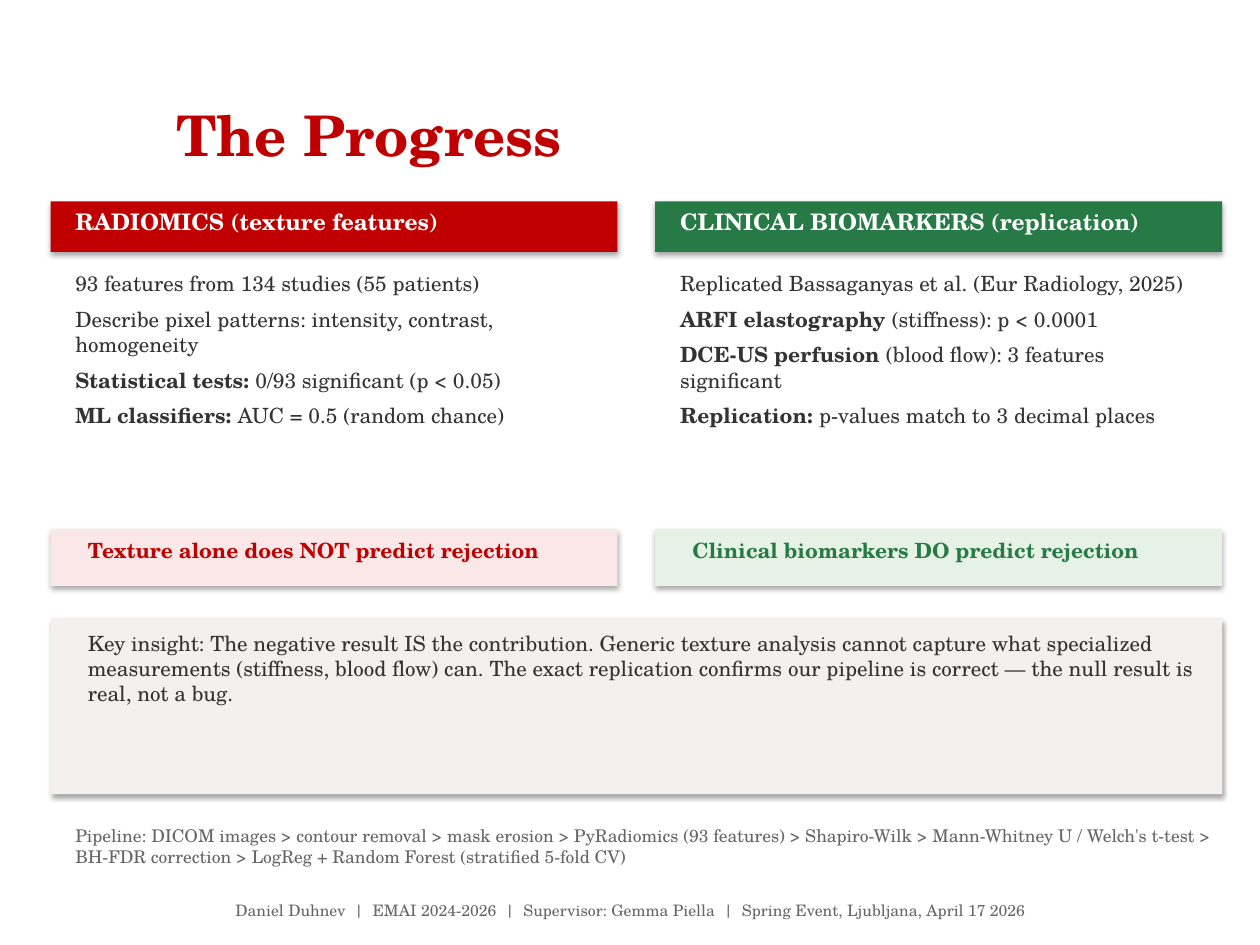
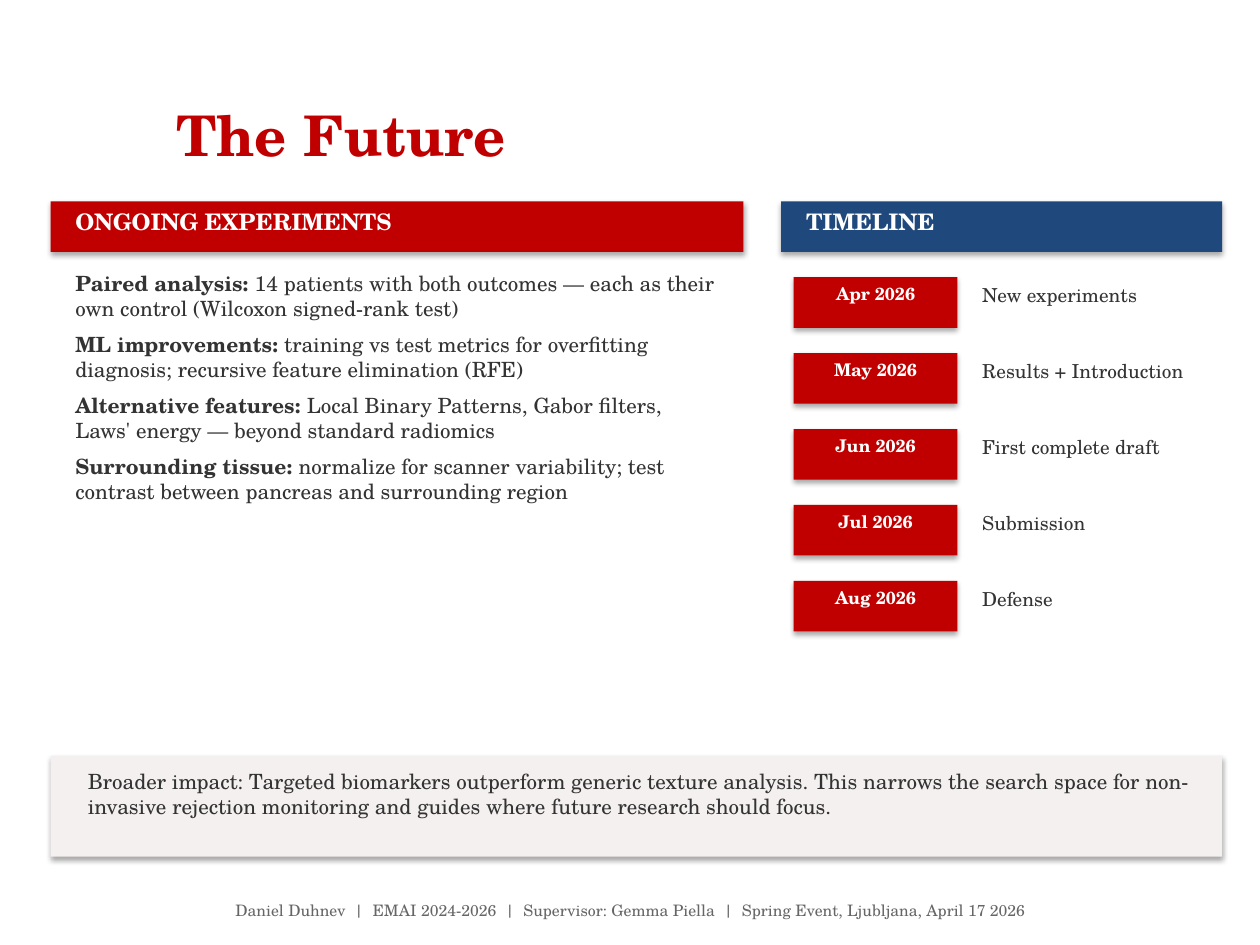
"""Build the progress and future slides of a thesis talk."""
from pptx import Presentation
from pptx.dml.color import RGBColor
from pptx.enum.shapes import MSO_SHAPE
from pptx.enum.text import MSO_ANCHOR, MSO_AUTO_SIZE, PP_ALIGN
from pptx.util import Cm, Pt

FONT = "TeX Gyre Schola"
RED = RGBColor(0xC0, 0x00, 0x00)
GREEN = RGBColor(0x27, 0x7A, 0x45)
BLUE = RGBColor(0x1F, 0x49, 0x7D)
PINK = RGBColor(0xFA, 0xE8, 0xE8)
MINT = RGBColor(0xE5, 0xF2, 0xE5)
STONE = RGBColor(0xF5, 0xF0, 0xF0)
WHITE = RGBColor(0xFF, 0xFF, 0xFF)
DARK = RGBColor(0x33, 0x33, 0x33)
GREY = RGBColor(0x66, 0x66, 0x66)

FOOTER = "  |  ".join([
    "Daniel Duhnev", "EMAI 2024-2026", "Supervisor: Gemma Piella",
    "Spring Event, Ljubljana, April 17 2026",
])

STUDIES = [
    {
        "head": "RADIOMICS (texture features)", "color": RED, "tint": PINK,
        "lines": [
            ("", "93 features from 134 studies (55 patients)"),
            ("", "Describe pixel patterns: intensity, contrast, homogeneity"),
            ("Statistical tests: ", "0/93 significant (p < 0.05)"),
            ("ML classifiers: ", "AUC = 0.5 (random chance)"),
        ],
        "verdict": "Texture alone does NOT predict rejection",
    },
    {
        "head": "CLINICAL BIOMARKERS (replication)", "color": GREEN, "tint": MINT,
        "lines": [
            ("", "Replicated Bassaganyas et al. (Eur Radiology, 2025)"),
            ("ARFI elastography ", "(stiffness): p < 0.0001"),
            ("DCE-US perfusion ", "(blood flow): 3 features significant"),
            ("Replication: ", "p-values match to 3 decimal places"),
        ],
        "verdict": "Clinical biomarkers DO predict rejection",
    },
]
INSIGHT = (
    "Key insight: The negative result IS the contribution. Generic texture "
    "analysis cannot capture what specialized measurements (stiffness, blood "
    "flow) can. The exact replication confirms our pipeline is correct — the "
    "null result is real, not a bug."
)
PIPELINE = " > ".join([
    "Pipeline: DICOM images", "contour removal", "mask erosion",
    "PyRadiomics (93 features)", "Shapiro-Wilk",
    "Mann-Whitney U / Welch's t-test", "BH-FDR correction",
    "LogReg + Random Forest (stratified 5-fold CV)",
])

TRIALS = [
    ("Paired analysis: ", "14 patients with both outcomes — each as their own "
     "control (Wilcoxon signed-rank test)"),
    ("ML improvements: ", "training vs test metrics for overfitting diagnosis; "
     "recursive feature elimination (RFE)"),
    ("Alternative features: ", "Local Binary Patterns, Gabor filters, Laws' "
     "energy — beyond standard radiomics"),
    ("Surrounding tissue: ", "normalize for scanner variability; test contrast "
     "between pancreas and surrounding region"),
]
DATES = [
    ("Apr 2026", "New experiments"),
    ("May 2026", "Results + Introduction"),
    ("Jun 2026", "First complete draft"),
    ("Jul 2026", "Submission"),
    ("Aug 2026", "Defense"),
]
IMPACT = (
    "Broader impact: Targeted biomarkers outperform generic texture analysis. "
    "This narrows the search space for non-invasive rejection monitoring and "
    "guides where future research should focus."
)

EDGE, FULL, GAP = 1.02, 23.62, 0.76
HALF = (FULL - GAP) / 2
WIDE, SLIM = 13.97, 8.89
PAD = 0.25
BAR = 1.02
LABEL = 0.97


def write(slide, text, left, top, width, height, size=12, color=DARK,
          bold=False, align=PP_ALIGN.LEFT, after=None, title=False):
    """Add a text box holding a string or a list of (bold lead, rest) pairs."""
    box = slide.shapes.add_textbox(Cm(left), Cm(top), Cm(width), Cm(height))
    frame = box.text_frame
    frame.word_wrap = True
    if title:
        frame.vertical_anchor = MSO_ANCHOR.MIDDLE
    else:
        frame.auto_size = MSO_AUTO_SIZE.SHAPE_TO_FIT_TEXT
    lines = [("", text)] if isinstance(text, str) else text
    for i, (lead, rest) in enumerate(lines):
        para = frame.paragraphs[0] if i == 0 else frame.add_paragraph()
        para.alignment = align
        if after is not None:
            para.space_after = Pt(after)
        for part, heavy in ((lead, True), (rest, bold)):
            if part:
                run = para.add_run()
                run.text = part
                run.font.name = FONT
                run.font.size = Pt(size)
                run.font.bold = heavy
                run.font.color.rgb = color


def block(slide, left, top, width, height, fill):
    """Add a borderless rectangle that keeps the theme shadow."""
    rect = slide.shapes.add_shape(
        MSO_SHAPE.RECTANGLE, Cm(left), Cm(top), Cm(width), Cm(height))
    rect.fill.solid()
    rect.fill.fore_color.rgb = fill
    rect.line.fill.background()


def header(slide, text, left, width, color):
    """Add a coloured column header."""
    block(slide, left, 4.06, width, BAR, color)
    write(slide, text, left + PAD, 4.06, width - 2 * PAD, LABEL,
          size=13, color=WHITE, bold=True)


def body(slide, lines, left, width, height):
    """Add the spaced lines below a column header."""
    write(slide, lines, left + PAD, 5.33, width - 2 * PAD, height, after=6)


def callout(slide, text, top, height):
    """Add a full-width box with a closing message."""
    block(slide, EDGE, top, FULL, height, STONE)
    write(slide, text, EDGE + 2 * PAD, top + 0.13, FULL - GAP, height - PAD)


def start(deck, title):
    """Add a slide with the shared title and footer."""
    slide = deck.slides.add_slide(deck.slide_layouts[6])
    write(slide, title, 3.3, 1.12, 19.79, 3.18,
          size=32, color=RED, bold=True, title=True)
    write(slide, FOOTER, 1.27, 18.03, 22.86, 0.76,
          size=9, color=GREY, align=PP_ALIGN.CENTER)
    return slide


def progress(deck):
    """Build the slide comparing both studies."""
    slide = start(deck, "The Progress")
    for i, study in enumerate(STUDIES):
        left = EDGE + i * (HALF + GAP)
        header(slide, study["head"], left, HALF, study["color"])
        body(slide, study["lines"], left, HALF, 5.59)
        block(slide, left, 10.67, HALF, 1.14, study["tint"])
        write(slide, study["verdict"], left + 2 * PAD, 10.72, HALF - 4 * PAD,
              BAR, color=study["color"], bold=True)
    callout(slide, INSIGHT, 12.45, 3.56)
    write(slide, PIPELINE, 1.27, 16.51, 23.37, 1.52, size=10, color=GREY)


def future(deck):
    """Build the slide with experiments and timeline."""
    slide = start(deck, "The Future")
    header(slide, "ONGOING EXPERIMENTS", EDGE, WIDE, RED)
    body(slide, TRIALS, EDGE, WIDE, 10.16)
    right = EDGE + WIDE + GAP
    header(slide, "TIMELINE", right, SLIM, BLUE)
    for i, (date, task) in enumerate(DATES):
        left, top = right + PAD, 5.59 + i * 1.5 * BAR
        block(slide, left, top, 3.3, BAR, RED)
        write(slide, date, left, top, 3.3, LABEL, size=10, color=WHITE,
              bold=True, align=PP_ALIGN.CENTER)
        write(slide, task, left + 3.3 + PAD, top, 5.08, LABEL, size=11)
    callout(slide, IMPACT, 15.24, 2.03)


def main():
    """Build and save the deck."""
    deck = Presentation()
    deck.slide_width, deck.slide_height = Cm(25.4), Cm(19.05)
    progress(deck)
    future(deck)
    deck.save("out.pptx")


if __name__ == "__main__":
    main()
